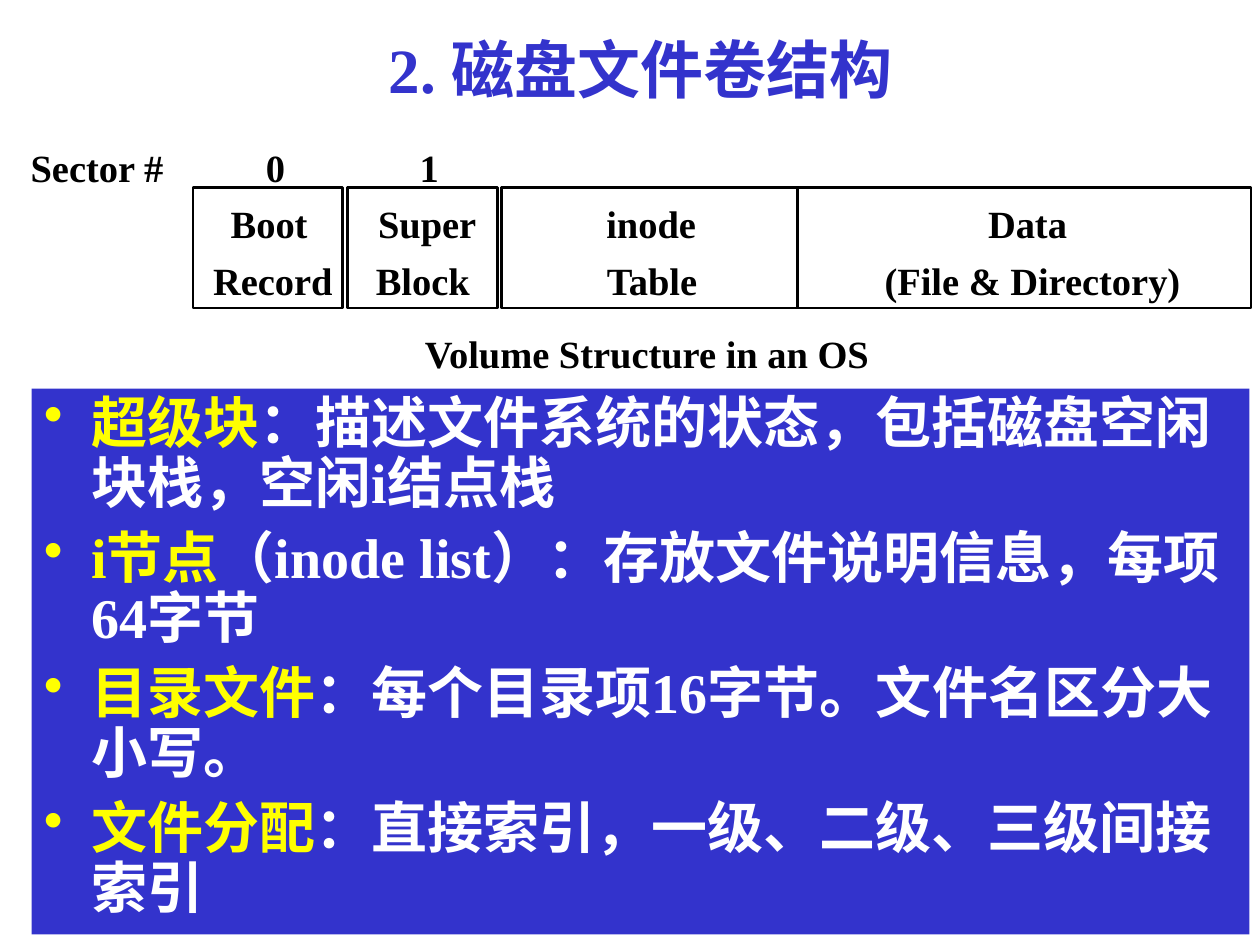
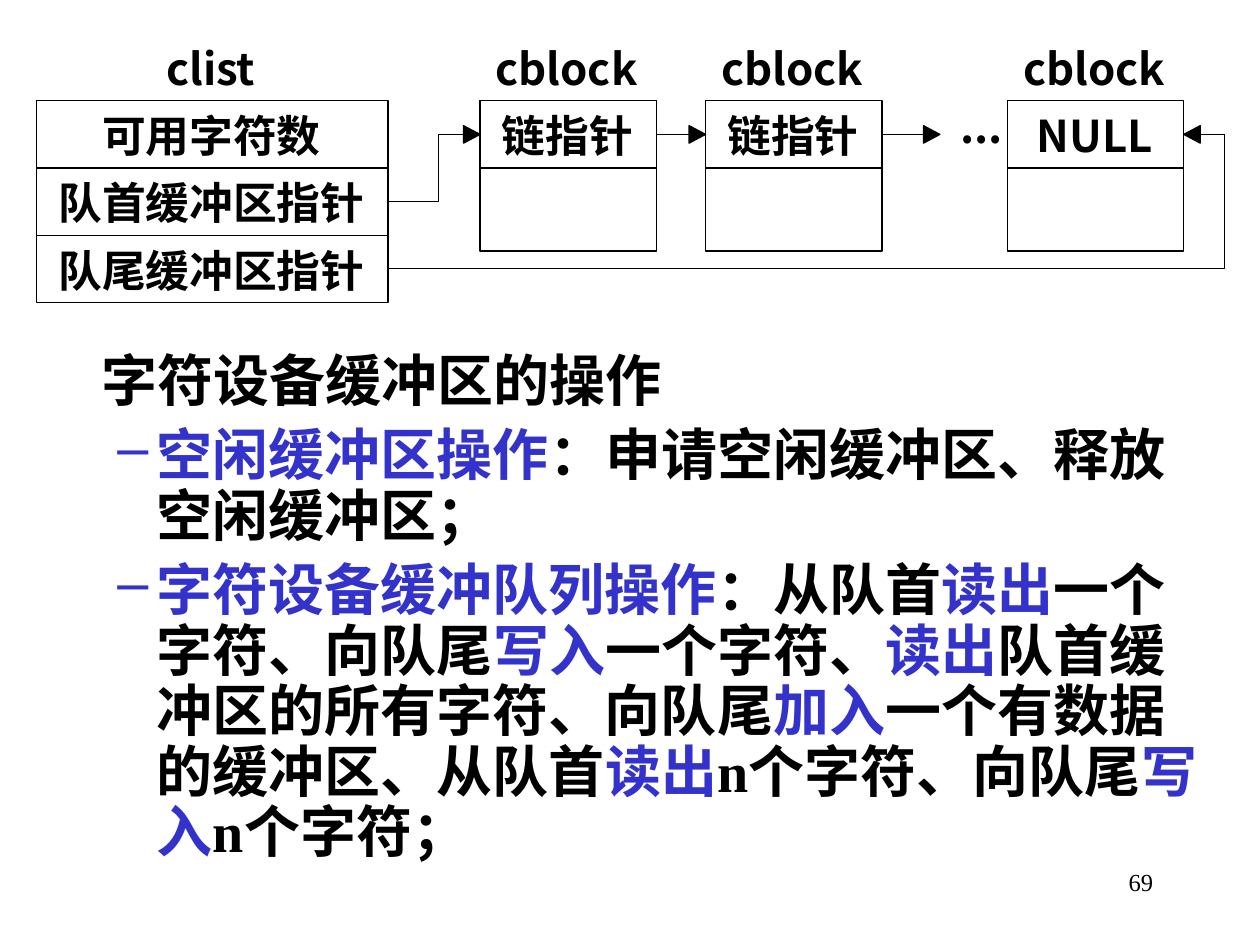
from dataclasses import dataclass
from typing import Optional

from lxml import etree
from pptx import Presentation
from pptx.dml.color import RGBColor
from pptx.enum import shapes, text
from pptx.oxml import ns
from pptx.util import Pt


@dataclass(frozen=True)
class Theme:
    blue: RGBColor = RGBColor(0x33, 0x33, 0xCC)
    yellow: RGBColor = RGBColor(0xFF, 0xFF, 0x00)
    white: RGBColor = RGBColor(0xFF, 0xFF, 0xFF)
    black: RGBColor = RGBColor(0x00, 0x00, 0x00)
    serif: str = "Times New Roman"
    sans: str = "Noto Sans CJK SC"
    title: int = 36
    body: int = 32
    diagram: int = 25
    volume: int = 22
    footer: int = 14
    thick: float = 1.5
    thin: float = 0.75


T = Theme()
TITLE = {"name": T.serif, "size": Pt(T.title), "bold": True}
BODY = {"name": T.serif, "size": Pt(T.body), "bold": True}
VOLUME = {"name": T.serif, "size": Pt(T.volume), "bold": True}
DIAGRAM = {"name": T.sans, "size": Pt(T.diagram), "bold": True}
FOOTER = {"name": T.serif, "size": Pt(T.footer), "bold": False}


@dataclass(frozen=True)
class Box:
    left: float
    top: float
    width: float
    height: float

    def emu(self) -> list:
        return [Pt(v) for v in (self.left, self.top, self.width, self.height)]


@dataclass(frozen=True)
class Label:
    text: str
    left: float
    top: float
    width: float


@dataclass(frozen=True)
class Item:
    """Body paragraph; text between asterisks is highlighted."""
    text: str
    margin: float
    hang: float = 0
    bullet: Optional[str] = None


@dataclass(frozen=True)
class Column:
    """Stack of cells: (text, text width, cell height), under a heading."""
    left: float
    width: float
    heading: Label
    cells: tuple


# Text
def add_run(p, words: str, fmt: dict, color: RGBColor) -> None:
    r = p.add_run()
    r.text = words
    for key, value in fmt.items():
        setattr(r.font, key, value)
    r.font.color.rgb = color
    ea = etree.SubElement(r._r.get_or_add_rPr(), ns.qn("a:ea"))
    ea.set("typeface", T.sans)


def set_frame(tf, **values) -> None:
    for key, value in values.items():
        setattr(tf, key, value)


def add_label(s, label: Label, fmt: dict) -> None:
    height = fmt["size"].pt * 1.2
    sp = s.shapes.add_textbox(*Box(label.left, label.top, label.width, height).emu())
    tf = sp.text_frame
    set_frame(tf, word_wrap=False, auto_size=text.MSO_AUTO_SIZE.SHAPE_TO_FIT_TEXT,
              margin_left=0, margin_right=0, margin_top=0, margin_bottom=0)
    p = tf.paragraphs[0]
    p.alignment = text.PP_ALIGN.CENTER
    add_run(p, label.text, fmt, T.black)


def set_bullet(p, item: Item, color: RGBColor) -> None:
    pPr = p._p.get_or_add_pPr()
    pPr.set("marL", str(Pt(item.margin)))
    pPr.set("indent", str(Pt(-item.hang)))
    if item.bullet:
        clr = etree.SubElement(pPr, ns.qn("a:buClr"))
        etree.SubElement(clr, ns.qn("a:srgbClr")).set("val", str(color))
        etree.SubElement(pPr, ns.qn("a:buChar")).set("char", item.bullet)


def fill_body(sp, items: list, plain: RGBColor, accent: RGBColor) -> None:
    tf = sp.text_frame
    set_frame(tf, word_wrap=True, vertical_anchor=text.MSO_ANCHOR.TOP)
    for i, item in enumerate(items):
        p = tf.paragraphs[0] if i == 0 else tf.add_paragraph()
        set_bullet(p, item, accent)
        p.alignment = text.PP_ALIGN.LEFT
        p.line_spacing = 0.9
        if i:
            p.space_before = Pt(8)
        for n, part in enumerate(item.text.split("*")):
            if part:
                add_run(p, part, BODY, accent if n % 2 else plain)


# Shapes
def add_rect(s, box: Box, fill: Optional[RGBColor] = None, line: float = 0):
    sp = s.shapes.add_shape(shapes.MSO_SHAPE.RECTANGLE, *box.emu())
    sp.shadow.inherit = False
    if fill is None:
        sp.fill.background()
    else:
        sp.fill.solid()
        sp.fill.fore_color.rgb = fill
    if line:
        sp.line.color.rgb = T.black
        sp.line.width = Pt(line)
    else:
        sp.line.fill.background()
    return sp


def add_outline(s, points: list, closed: bool) -> None:
    start, *rest = [(Pt(x), Pt(y)) for x, y in points]
    fb = s.shapes.build_freeform(*start)
    fb.add_line_segments(rest, close=closed)
    sp = fb.convert_to_shape()
    sp.shadow.inherit = False
    if closed:
        sp.fill.solid()
        sp.fill.fore_color.rgb = T.black
    else:
        sp.fill.background()
    sp.line.color.rgb = T.black
    sp.line.width = Pt(T.thin)


def add_arrow(s, start: float, tip: float, y: float) -> None:
    length, half = 9.4, 5
    base = tip - length if tip > start else tip + length
    cx = s.shapes.add_connector(shapes.MSO_CONNECTOR.STRAIGHT,
                                Pt(start), Pt(y), Pt(base), Pt(y))
    cx.line.color.rgb = T.black
    cx.line.width = Pt(T.thin)
    etree.SubElement(cx._element.spPr, ns.qn("a:effectLst"))
    add_outline(s, [(base, y - half), (base, y + half), (tip, y)], closed=True)


def add_column(s, col: Column, top: float) -> None:
    add_label(s, col.heading, DIAGRAM)
    for words, width, height in col.cells:
        add_rect(s, Box(col.left, top, col.width, height), T.white, T.thin)
        if words:
            left = col.left + (col.width - width) / 2 - 0.5
            add_label(s, Label(words, left, top + 4.7, width), DIAGRAM)
        top += height


# Slide: disk volume structure
def volume_slide(prs) -> None:
    s = prs.slides.add_slide(prs.slide_layouts[5])
    title = s.shapes.title
    title.left, title.top, title.width, title.height = Box(60, 18, 612, 42).emu()
    tf = title.text_frame
    set_frame(tf, word_wrap=True, auto_size=text.MSO_AUTO_SIZE.NONE,
              vertical_anchor=text.MSO_ANCHOR.MIDDLE)
    p = tf.paragraphs[0]
    p.alignment = text.PP_ALIGN.CENTER
    add_run(p, "2. 磁盘文件卷结构", TITLE, T.blue)

    # Explanation panel
    panel = add_rect(s, Box(18, 222, 696, 312), T.blue)
    lines = [
        "*超级块*：描述文件系统的状态，包括磁盘空闲块栈，空闲i结点栈",
        "*i节点*（inode list）：存放文件说明信息，每项64字节",
        "*目录文件*：每个目录项16字节。文件名区分大小写。",
        "*文件分配*：直接索引，一级、二级、三级间接索引",
    ]
    fill_body(panel, [Item(t, 27, 27, "•") for t in lines], T.white, T.yellow)

    # Volume areas and their labels
    for left, width in ((110.2, 85.7), (198.7, 85.7), (286.6, 169.2), (455.8, 259.2)):
        add_rect(s, Box(left, 107.3, width, 68.8), line=T.thick)
    sector, upper, lower, caption = 82.1, 114.5, 146.9, 188.6
    for label in (
        Label("Sector #", 17.3, sector, 76.3),
        Label("0", 151.9, sector, 10.8),
        Label("1", 239.8, sector, 10.8),
        Label("Boot", 131.8, upper, 43.9),
        Label("Record", 121.7, lower, 68.4),
        Label("Super", 216, upper, 56.2),
        Label("Block", 214.6, lower, 54),
        Label("inode", 345.6, upper, 53),
        Label("Table", 345.6, lower, 54),
        Label("Data", 564.5, upper, 45.4),
        Label("(File & Directory)", 505.4, lower, 169.2),
        Label("Volume Structure in an OS", 242.6, caption, 254.2),
    ):
        add_label(s, label, VOLUME)


# Slide: character device buffers
def buffer_slide(prs) -> None:
    s = prs.slides.add_slide(prs.slide_layouts[6])
    sp = s.shapes.add_textbox(*Box(516, 492, 150, 36).emu())
    sp.text_frame.word_wrap = True
    p = sp.text_frame.paragraphs[0]
    p.alignment = text.PP_ALIGN.RIGHT
    add_run(p, "69", FOOTER, T.black)

    # Operations
    body = s.shapes.add_textbox(*Box(24, 198, 672, 312).emu())
    fill_body(body, [
        Item("字符设备缓冲区的操作", 27),
        Item("*空闲缓冲区操作*：申请空闲缓冲区、释放空闲缓冲区；", 58.5, 22.5, "–"),
        Item("*字符设备缓冲队列操作*：从队首*读出*一个字符、向队尾*写入*一个字符、"
             "*读出*队首缓冲区的所有字符、向队尾*加入*一个有数据的缓冲区、"
             "从队首*读出*n个字符、向队尾*写入*n个字符；", 58.5, 22.5, "–"),
    ], T.black, T.blue)

    # Queue header and its blocks
    top, row, head_top = 57.6, 38.4, 23.8
    clist = Column(20.9, 200.9, Label("clist", 94.6, head_top, 51.8), (
        ("可用字符数", 127, row),
        ("队首缓冲区指针", 177, row),
        ("队尾缓冲区指针", 177, row),
    ))
    blocks = [
        Column(left, 100.8, Label("cblock", left + 8.8, head_top, 81.4),
               ((words, width, row), ("", 0, 47.5)))
        for left, words, width in (
            (274.3, "链指针", 76), (403.2, "链指针", 76), (575.7, "NULL", 69))
    ]
    for col in (clist, *blocks):
        add_column(s, col, top)
    add_label(s, Label("...", 548.6, 56.9, 24.5), DIAGRAM)

    # Pointers
    first, second, last = blocks
    right = clist.left + clist.width
    link_y, first_y, last_y = (top + row * (n + 0.5) for n in range(3))
    bend, far = 250.4, 699.8
    add_outline(s, [(right, first_y), (bend, first_y), (bend, link_y)], closed=False)
    add_outline(s, [(right, last_y), (far, last_y), (far, link_y)], closed=False)
    for start, tip in (
        (bend, first.left),
        (first.left + first.width, second.left),
        (second.left + second.width, 537.1),
        (far, last.left + last.width),
    ):
        add_arrow(s, start, tip, link_y)


def main() -> None:
    prs = Presentation()
    prs.slide_width, prs.slide_height = Pt(720), Pt(540)
    volume_slide(prs)
    buffer_slide(prs)
    prs.save("out.pptx")


if __name__ == "__main__":
    main()
